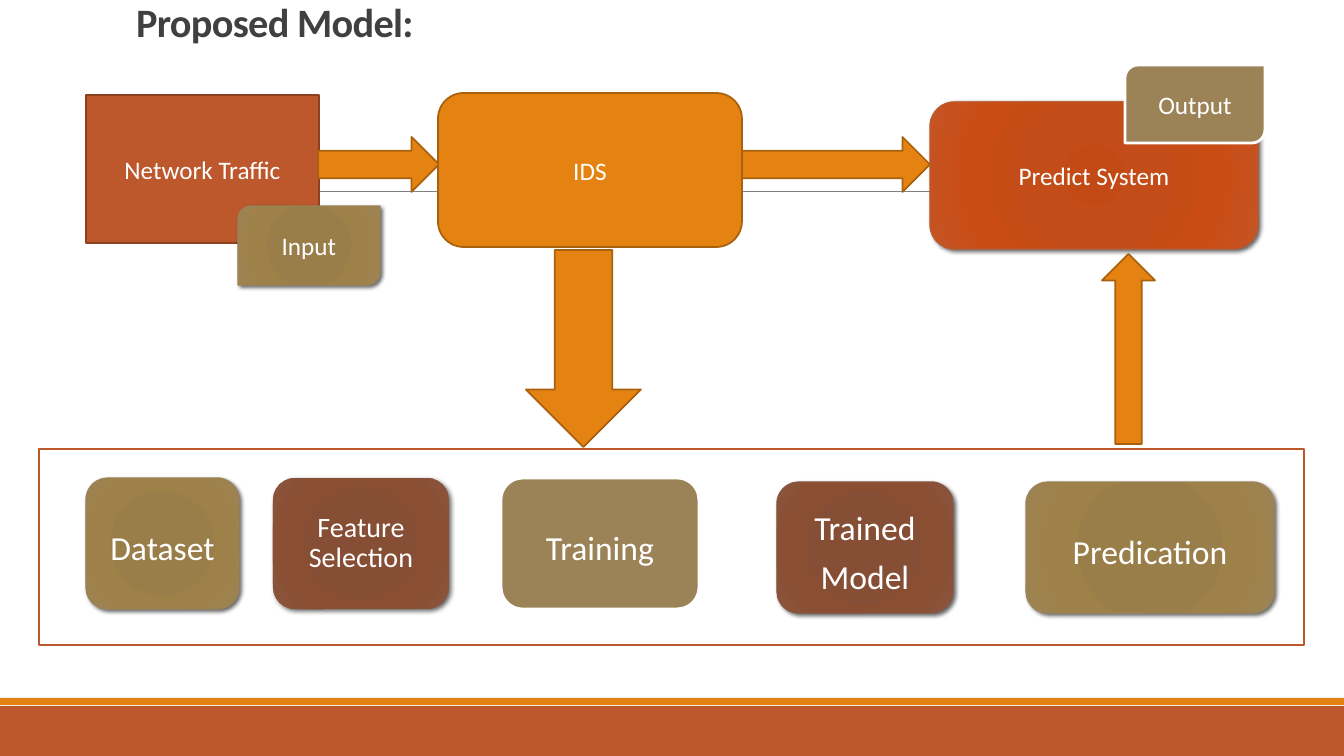
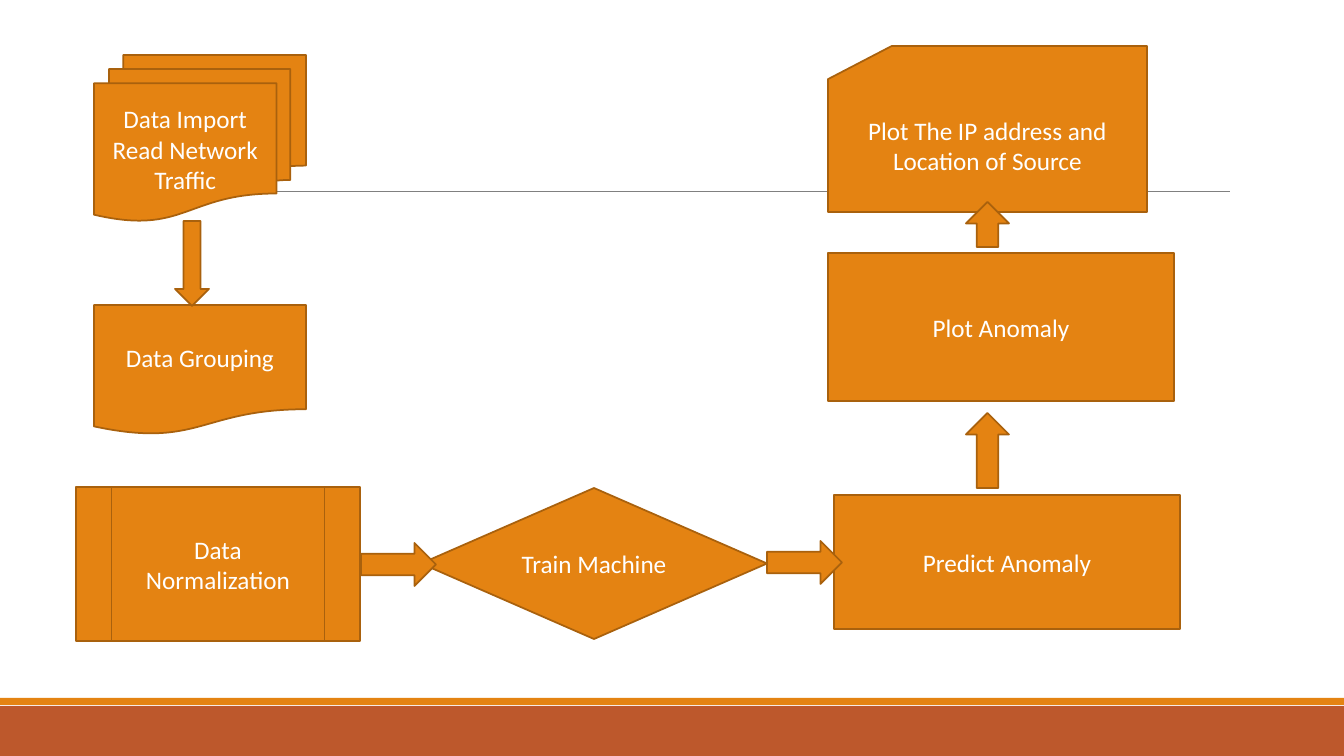
import collections

import lxml.etree
import pptx
import pptx.dml.color
import pptx.enum.shapes
import pptx.enum.text
import pptx.oxml
import pptx.oxml.ns
import pptx.util

RGB = pptx.dml.color.RGBColor
SHAPE = pptx.enum.shapes.MSO_SHAPE
ALIGN = pptx.enum.text.PP_ALIGN
ANCHOR = pptx.enum.text.MSO_ANCHOR

PIXELS_PER_INCH = 100.8
WIDTH, HEIGHT = 1344, 756
FONT = "Calibri"

WHITE = RGB(0xFF, 0xFF, 0xFF)
INK = RGB(0x40, 0x40, 0x40)
GRAY = RGB(0x80, 0x80, 0x80)
ORANGE = RGB(0xE4, 0x83, 0x12)
DARK_ORANGE = RGB(0xA9, 0x61, 0x0D)
RUST = RGB(0xBD, 0x58, 0x2C)
DARK_RUST = RGB(0x8C, 0x41, 0x21)
BROWN = RGB(0x86, 0x56, 0x40)
TAN = RGB(0x9B, 0x83, 0x57)

GRADIENT_STOPS = (0, 34, 70, 100)
RUST_GLOW = ("C44A15", "C34C18", "C94C15", "C45525")
BROWN_GLOW = ("874C32", "864E34", "8A4E33", "8A553D")
TAN_GLOW = ("9A7D48", "9A7E4A", "9E8049", "9E8454")

# The fill is one RGBColor or a tuple of gradient colours; blur is in points.
Look = collections.namedtuple("Look", "fill line line_width blur", defaults=(None, 1.25, 0))
FLOW = Look(ORANGE, DARK_ORANGE)
SOURCE = Look(RUST, DARK_RUST)
PANEL = Look(WHITE, RUST)
FLAT_TAN = Look(TAN, WHITE, 2)
GLOW_TAN = Look(TAN_GLOW, TAN, 1, 3)
GLOW_BROWN = Look(BROWN_GLOW, BROWN, 1, 3)
SOFT_BROWN = Look(BROWN_GLOW, blur=3.5)
GLOW_RUST = Look(RUST_GLOW, RUST, 1, 3)

# Text settings: size and space before and after in points, side inset in pixels.
Lettering = collections.namedtuple("Lettering", "size spacing before after inset",
                                   defaults=(18, None, 0, 0, 10))
LABEL = Lettering()
STAGE = Lettering(24, 1.2, 10)
SMALL_STAGE = Lettering(20, 0.9, 12, 2, 0)


def px(pixels):
    """Turn pixels into EMU."""
    return pptx.util.Emu(round(pixels * 914400 / PIXELS_PER_INCH))


def gradient_fill(colors):
    """Return a radial gradient fill element."""
    stops = "".join(f'<a:gs pos="{position * 1000}"><a:srgbClr val="{color}"/></a:gs>'
                    for position, color in zip(GRADIENT_STOPS, colors))
    return pptx.oxml.parse_xml(
        f'<a:gradFill {pptx.oxml.ns.nsdecls("a")} rotWithShape="1"><a:gsLst>{stops}</a:gsLst>'
        '<a:path path="circle"><a:fillToRect l="100000" t="100000" r="100000" b="100000"/>'
        '</a:path></a:gradFill>')


def outer_shadow(blur):
    """Return a black shadow element falling to the lower right."""
    return pptx.oxml.parse_xml(
        f'<a:outerShdw {pptx.oxml.ns.nsdecls("a")} blurRad="{round(blur * 12700)}" '
        'dist="25400" dir="2700000" rotWithShape="0">'
        '<a:srgbClr val="000000"><a:alpha val="60000"/></a:srgbClr></a:outerShdw>')


class Deck:
    """Holds the presentation, its style and the current slide."""

    def __init__(self):
        """Start an empty widescreen presentation."""
        self.presentation = pptx.Presentation()
        self.presentation.slide_width = px(WIDTH)
        self.presentation.slide_height = px(HEIGHT)
        self.slide = None

    def add_slide(self, title=None):
        """Start a slide, with a title when one is given."""
        layout = self.presentation.slide_layouts.get_by_name("Title Only" if title else "Blank")
        self.slide = self.presentation.slides.add_slide(layout)
        if title:
            self.title(title)

    def title(self, text):
        """Fill and format the title placeholder."""
        shape = self.slide.shapes.title
        shape.left, shape.top, shape.width, shape.height = px(126), px(18), px(1092), px(79)
        frame = shape.text_frame
        frame.text = text
        frame.auto_size = pptx.enum.text.MSO_AUTO_SIZE.NONE
        frame.vertical_anchor = ANCHOR.BOTTOM
        frame.margin_bottom = px(53)
        paragraph = frame.paragraphs[0]
        paragraph.alignment = ALIGN.LEFT
        paragraph.line_spacing = 0.65
        self.font(paragraph, 28.8, INK)
        paragraph.font.bold = True
        shape.element.xpath(".//a:defRPr")[0].set("spc", "-50")

    def font(self, paragraph, size, color):
        """Set the font of a paragraph."""
        paragraph.font.name = FONT
        paragraph.font.size = pptx.util.Pt(size)
        paragraph.font.color.rgb = color

    def shape(self, kind, box, look=FLOW, text="", lettering=LABEL):
        """Add a preset shape with its look and centred text."""
        shape = self.slide.shapes.add_shape(kind, *map(px, box))
        shape.shadow.inherit = False
        if isinstance(look.fill, RGB):
            shape.fill.solid()
            shape.fill.fore_color.rgb = look.fill
        else:
            shape.fill.background()
            blank = shape.element.spPr.find(pptx.oxml.ns.qn("a:noFill"))
            shape.element.spPr.replace(blank, gradient_fill(look.fill))
        if look.line is None:
            shape.line.fill.background()
        else:
            shape.line.color.rgb = look.line
            shape.line.width = pptx.util.Pt(look.line_width)
        if look.blur:
            effects = shape.element.spPr.find(pptx.oxml.ns.qn("a:effectLst"))
            effects.append(outer_shadow(look.blur))
        if text:
            self.label(shape.text_frame, text, lettering)
        return shape

    def label(self, frame, text, lettering):
        """Write centred white text into a frame."""
        frame.text = text
        frame.word_wrap = True
        frame.vertical_anchor = ANCHOR.MIDDLE
        frame.margin_left = frame.margin_right = px(lettering.inset)
        for paragraph in frame.paragraphs:
            paragraph.alignment = ALIGN.CENTER
            paragraph.line_spacing = lettering.spacing
            paragraph.space_before = pptx.util.Pt(lettering.before)
            paragraph.space_after = pptx.util.Pt(lettering.after)
            self.font(paragraph, lettering.size, WHITE)

    def rule(self, left, right, y):
        """Add a thin horizontal line."""
        line = self.slide.shapes.add_connector(
            pptx.enum.shapes.MSO_CONNECTOR.STRAIGHT, px(left), px(y), px(right), px(y))
        line.line.color.rgb = GRAY
        line.line.width = pptx.util.Pt(0.5)
        lxml.etree.SubElement(line.element.spPr, pptx.oxml.ns.qn("a:effectLst"))
        return line

    def decorate_master(self):
        """Draw the bands and the rule, then move them to the back of the master."""
        decorations = (self.shape(SHAPE.RECTANGLE, (0, 706, WIDTH, 50), Look(RUST)),
                       self.shape(SHAPE.RECTANGLE, (0, 698, WIDTH, 7), Look(ORANGE)),
                       self.rule(132, 1230, 191))
        tree = self.presentation.slide_master.shapes.element
        for index, decoration in enumerate(decorations):
            decoration.element.xpath("./*/p:cNvPr")[0].set("id", str(100 + index))
            tree.insert(2 + index, decoration.element)


def build_model_slide(deck):
    """Build the overview of the proposed model."""
    deck.add_slide("Proposed Model:")
    deck.decorate_master()
    deck.shape(SHAPE.RECTANGLE, (39, 449, 1265, 196), PANEL)

    deck.shape(SHAPE.RECTANGLE, (86, 95, 233, 148), SOURCE, "Network Traffic")
    deck.shape(SHAPE.RIGHT_ARROW, (318, 137, 121, 55))
    deck.shape(SHAPE.ROUNDED_RECTANGLE, (438, 93, 304, 154), FLOW, "IDS")
    deck.shape(SHAPE.ROUNDED_RECTANGLE, (930, 102, 328, 147), GLOW_RUST, "Predict System")
    deck.shape(SHAPE.RIGHT_ARROW, (742, 137, 188, 55))
    deck.shape(SHAPE.DOWN_ARROW, (526, 250, 115, 197))

    stages = (("Feature Selection", 273, 478, 176, SOFT_BROWN, SMALL_STAGE),
              ("Dataset", 86, 478, 153, GLOW_TAN, STAGE),
              ("Predication", 1026, 482, 248, GLOW_TAN, STAGE),
              ("Training", 501, 478, 198, FLAT_TAN, STAGE),
              ("Trained Model", 777, 482, 176, GLOW_BROWN, STAGE))
    for text, left, top, width, look, lettering in stages:
        deck.shape(SHAPE.ROUNDED_RECTANGLE, (left, top, width, 131), look, text, lettering)

    deck.shape(SHAPE.UP_ARROW, (1102, 254, 53, 190))
    deck.shape(SHAPE.ROUND_2_DIAG_RECTANGLE, (238, 206, 142, 79), GLOW_TAN, "Input")
    deck.shape(SHAPE.ROUND_2_DIAG_RECTANGLE, (1125, 65, 140, 78), FLAT_TAN, "Output")


def build_flow_slide(deck):
    """Build the flow from data import to the plotted location."""
    deck.add_slide()
    steps = (
        (SHAPE.FLOWCHART_MULTIDOCUMENT, (94, 55, 212, 166), "Data Import\nRead Network Traffic"),
        (SHAPE.FLOWCHART_DOCUMENT, (94, 305, 212, 130), "Data Grouping"),
        (SHAPE.FLOWCHART_PREDEFINED_PROCESS, (76, 487, 284, 154), "Data Normalization"),
        (SHAPE.FLOWCHART_DECISION, (421, 488, 346, 151), "Train Machine"),
        (SHAPE.FLOWCHART_PROCESS, (834, 495, 346, 134), "Predict Anomaly"),
        (SHAPE.FLOWCHART_PROCESS, (828, 253, 346, 148), "Plot Anomaly"),
        (SHAPE.FLOWCHART_CARD, (828, 46, 319, 166),
         "Plot The IP address and Location of Source"))
    for kind, box, text in steps:
        deck.shape(kind, box, FLOW, text)

    arrows = ((SHAPE.DOWN_ARROW, (175, 221, 34, 85)),
              (SHAPE.RIGHT_ARROW, (361, 543, 75, 43)),
              (SHAPE.RIGHT_ARROW, (767, 541, 75, 43)),
              (SHAPE.UP_ARROW, (966, 413, 43, 75)),
              (SHAPE.UP_ARROW, (966, 202, 43, 45)))
    for kind, box in arrows:
        deck.shape(kind, box)


deck = Deck()
build_model_slide(deck)
build_flow_slide(deck)
deck.presentation.save("out.pptx")
